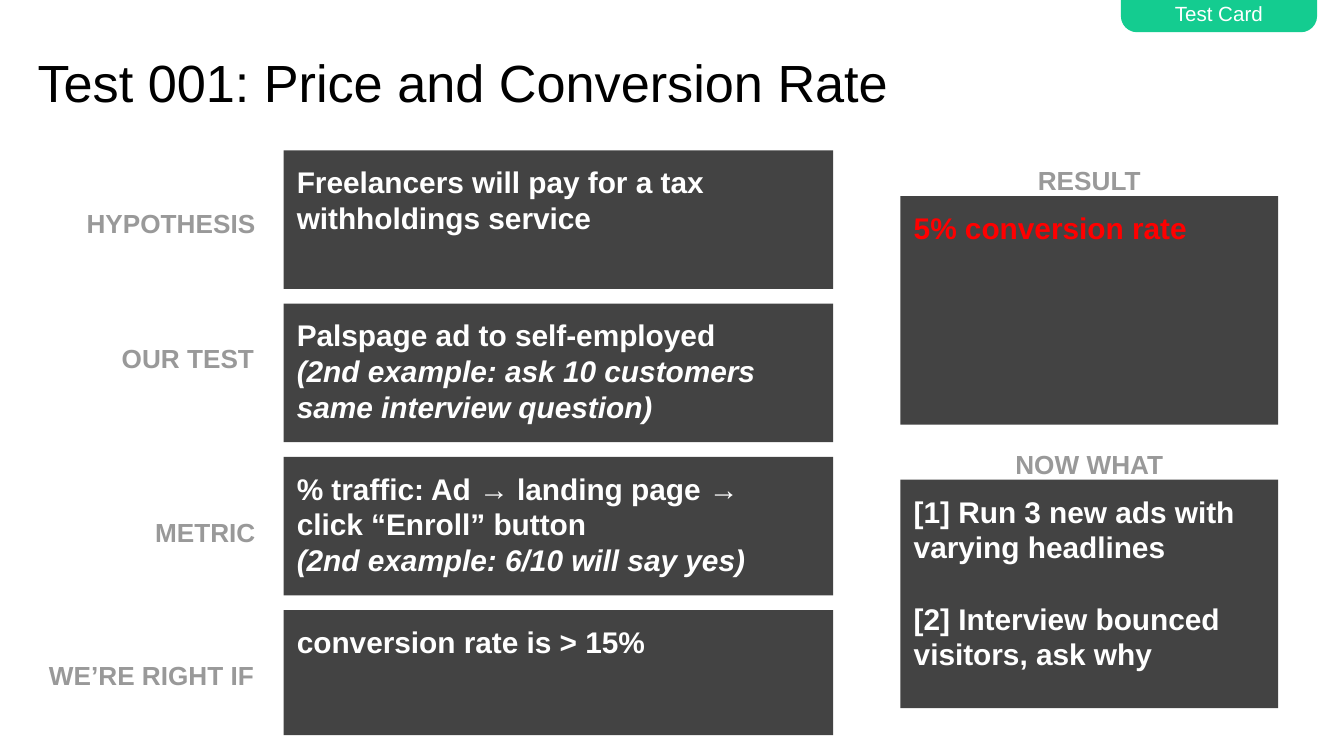
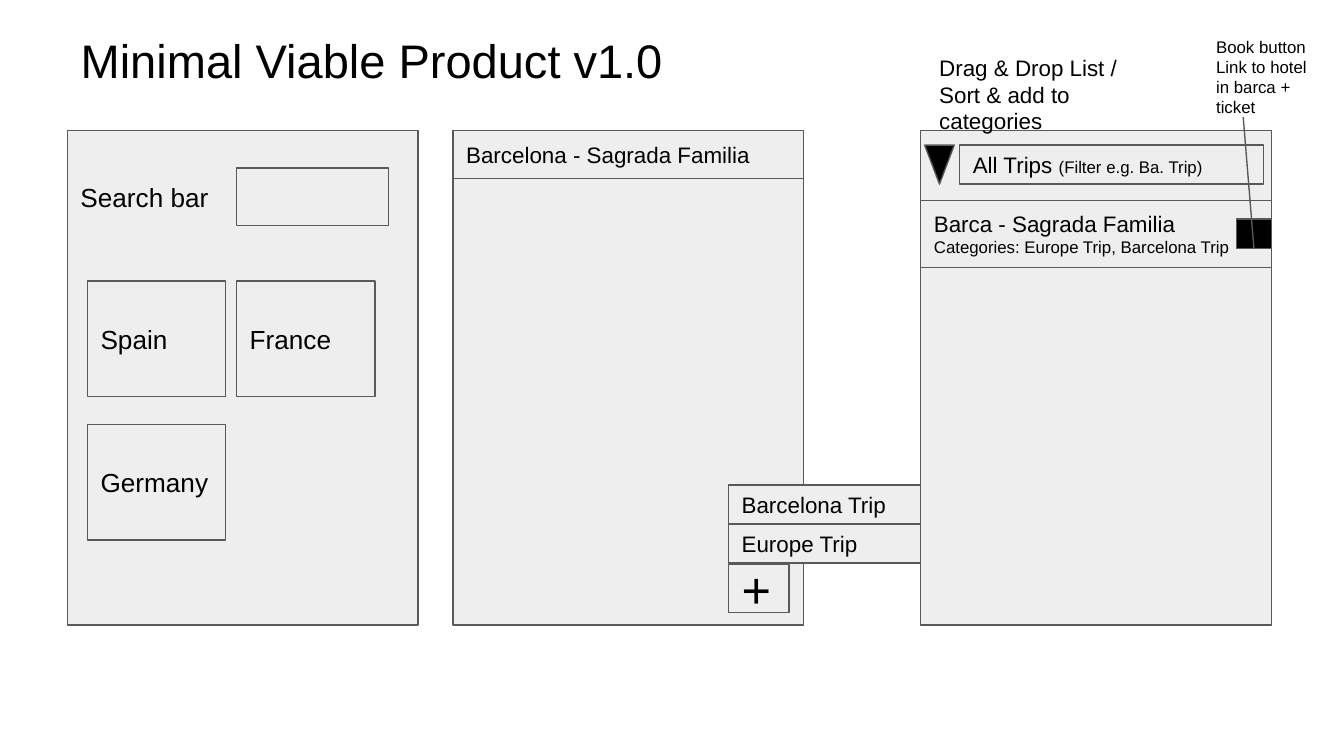
from dataclasses import dataclass

from lxml import etree
from pptx import Presentation, util as u
from pptx.dml.color import RGBColor
from pptx.enum import shapes, text
from pptx.oxml.ns import qn

BLACK = RGBColor(0x00, 0x00, 0x00)
WHITE = RGBColor(0xFF, 0xFF, 0xFF)
RED = RGBColor(0xFF, 0x00, 0x00)
GREEN = RGBColor(0x14, 0xCC, 0x90)
CHARCOAL = RGBColor(0x43, 0x43, 0x43)
LABEL_GREY = RGBColor(0x99, 0x99, 0x99)
WIRE_FILL = RGBColor(0xEE, 0xEE, 0xEE)
WIRE_LINE = RGBColor(0x59, 0x59, 0x59)

FONT = "Arial"
LEFT, CENTER, RIGHT = text.PP_ALIGN.LEFT, text.PP_ALIGN.CENTER, text.PP_ALIGN.RIGHT
TOP, MIDDLE = text.MSO_ANCHOR.TOP, text.MSO_ANCHOR.MIDDLE
RECTANGLE = shapes.MSO_SHAPE.RECTANGLE

LABEL = {"size": u.Pt(14), "bold": True}
CARD = {"size": u.Pt(16), "bold": True}
CARD_ITALIC = {**CARD, "italic": True}
BODY = {"size": u.Pt(14)}
SMALL = {"size": u.Pt(12)}
TINY = {"size": u.Pt(9)}


@dataclass
class Box:
    """A rectangle in inches."""
    left: float
    top: float
    width: float
    height: float

    def inside(self, left, top, width, height):
        """Return a box offset from this one's top left corner."""
        return Box(self.left + left, self.top + top, width, height)

    def lengths(self):
        """Return left, top, width and height as lengths."""
        return [u.Inches(value) for value in (self.left, self.top, self.width, self.height)]


def set_attributes(target, values):
    """Set each named attribute on the target."""
    for name, value in values.items():
        setattr(target, name, value)


def write(shape, paragraphs, color=BLACK, anchor=TOP, inset=0.1, **layout):
    """Fill a shape with paragraphs, each a list of (text, font format) runs."""
    frame = shape.text_frame
    set_attributes(frame, {
        "word_wrap": True, "auto_size": text.MSO_AUTO_SIZE.NONE, "vertical_anchor": anchor,
        "margin_left": u.Inches(0.1), "margin_right": u.Inches(0.1),
        "margin_top": u.Inches(inset), "margin_bottom": u.Inches(inset)})
    for index, runs in enumerate(paragraphs):
        paragraph = frame.add_paragraph() if index else frame.paragraphs[0]
        set_attributes(paragraph, {"alignment": LEFT, **layout})
        for words, style in runs:
            run = paragraph.add_run()
            run.text = words
            set_attributes(run.font, {"name": FONT, **style})
            run.font.color.rgb = color


def add_block(slide, box, fill, line=None, kind=RECTANGLE):
    """Add a flat preset shape with an optional thin outline."""
    shape = slide.shapes.add_shape(kind, *box.lengths())
    shape.shadow.inherit = False
    shape.fill.solid()
    shape.fill.fore_color.rgb = fill
    if line is None:
        shape.line.fill.background()
    else:
        shape.line.color.rgb = line
        shape.line.width = u.Pt(0.75)
    return shape


def add_text(slide, box, paragraphs, **options):
    """Add a text box."""
    write(slide.shapes.add_textbox(*box.lengths()), paragraphs, **options)


def add_wire(slide, box, paragraphs=()):
    """Add a light wireframe rectangle with optional text."""
    shape = add_block(slide, box, WIRE_FILL, WIRE_LINE)
    if paragraphs:
        write(shape, paragraphs, anchor=MIDDLE)


def add_titled_slide(presentation, title, box, size):
    """Add a title-only slide and format its title."""
    slide = presentation.slides.add_slide(presentation.slide_layouts[5])
    placeholder = slide.shapes.title
    set_attributes(placeholder, dict(zip(("left", "top", "width", "height"), box.lengths())))
    write(placeholder, [[(title, {"size": u.Pt(size)})]], anchor=MIDDLE, inset=0.05)
    return slide


def add_tab(slide, box, words):
    """Add the green tab hanging from the slide's top edge."""
    tab = add_block(slide, box, GREEN, kind=shapes.MSO_SHAPE.ROUND_2_SAME_RECTANGLE)
    tab.adjustments[0], tab.adjustments[1] = 0, 0.5
    write(tab, [[(words, {"size": u.Pt(11)})]], WHITE, MIDDLE, alignment=CENTER)


def add_label(slide, box, words, alignment):
    """Add a grey heading for a card."""
    add_text(slide, box, [[(words, LABEL)]], color=LABEL_GREY,
             alignment=alignment, line_spacing=1.15)


def add_plan(slide, box):
    """Add the labelled cards that describe the test."""
    rows = [
        ("HYPOTHESIS", Box(0.2, 0.29, 1.7, 0.46), 1.03,
         [[("Freelancers will pay for a tax withholdings service", CARD)]]),
        ("OUR TEST", Box(0.16, 0.15, 1.73, 0.75), 1.03,
         [[("Palspage ad to self-employed", CARD)],
          [("(2nd example: ask 10 customers same interview question)", CARD_ITALIC)]]),
        ("METRIC", Box(0.2, 0.31, 1.7, 0.46), 1.03,
         [[("% traffic: Ad → landing page →  click “Enroll” button", CARD)],
          [("(2nd example: 6/10 will say yes)", CARD_ITALIC)]]),
        ("WE’RE RIGHT IF", Box(0, 0.23, 1.89, 0.46), 0.93,
         [[("conversion rate is > 15%", CARD)]]),
    ]
    for index, (label, place, height, paragraphs) in enumerate(rows):
        top = index * 1.14
        label_box = box.inside(place.left, top + place.top, place.width, place.height)
        add_label(slide, label_box, label, RIGHT)
        card = add_block(slide, box.inside(2.01, top, 4.09, height), CHARCOAL)
        write(card, paragraphs, WHITE)


def add_outcome(slide, box, label, paragraphs, color, **layout):
    """Add a card with its heading centred above it."""
    add_label(slide, box.inside(0.54, -0.37, 1.73, 0.46), label, CENTER)
    write(add_block(slide, box, CHARCOAL), paragraphs, color, **layout)


def build_test_card(presentation):
    """Build the test card slide."""
    slide = add_titled_slide(presentation, "Test 001: Price and Conversion Rate",
                             Box(0.18, 0.14, 9.16, 0.94), 28)
    add_plan(slide, Box(0.1, 1.12, 6.1, 4.35))
    add_tab(slide, Box(8.34, 0, 1.46, 0.24), "Test Card")
    add_outcome(slide, Box(6.7, 1.46, 2.81, 1.7), "RESULT",
                [[("5% conversion rate", CARD)]], RED)
    add_outcome(slide, Box(6.7, 3.57, 2.81, 1.7), "NOW WHAT",
                [[("[1] Run 3 new ads with varying headlines", CARD)],
                 [("[2] Interview bounced visitors, ask why", CARD)]],
                WHITE, space_after=u.Pt(19))


def add_search_screen(slide, box):
    """Add the screen with a search bar and country tiles."""
    add_wire(slide, box)
    add_text(slide, box.inside(0, 0.28, 1.18, 0.44), [[("Search bar", BODY)]])
    add_wire(slide, box.inside(1.26, 0.28, 1.13, 0.43))
    for index, country in enumerate(("Spain", "France", "Germany")):
        row, column = divmod(index, 2)
        tile = box.inside(0.15 + column * 1.11, 1.12 + row * 1.07, 1.03, 0.86)
        add_wire(slide, tile, [[(country, BODY)]])


def add_place_screen(slide, box):
    """Add the screen of one place with its add-to-trip menu."""
    add_wire(slide, box)
    add_wire(slide, box.inside(0, 0, box.width, 0.36),
             [[("Barcelona - Sagrada Familia", SMALL)]])
    add_wire(slide, box.inside(2.05, 3.23, 0.45, 0.36), [[("+", {"size": u.Pt(27)})]])
    for index, trip in enumerate(("Barcelona Trip", "Europe Trip")):
        add_wire(slide, box.inside(2.05, 2.64 + index * 0.29, 1.43, 0.29), [[(trip, SMALL)]])


def add_trips_screen(slide, box):
    """Add the screen listing saved trips with its annotations."""
    add_wire(slide, box)
    add_text(slide, box.inside(0.04, -0.67, 1.76, 0.81),
             [[("Drag & Drop List / Sort & add to categories", SMALL)]])
    add_wire(slide, box.inside(0, 0.52, box.width, 0.5),
             [[("Barca - Sagrada Familia", SMALL)],
              [("Categories: Europe Trip, Barcelona Trip", TINY)]])
    add_wire(slide, box.inside(0.29, 0.11, 2.26, 0.29),
             [[("All Trips ", SMALL), ("(Filter e.g. Ba. Trip)", TINY)]])
    arrow = add_block(slide, box.inside(0.03, 0.11, 0.22, 0.29), BLACK, WIRE_LINE,
                      shapes.MSO_SHAPE.ISOSCELES_TRIANGLE)
    arrow.rotation = 180
    book_button = box.inside(2.35, 0.66, 0.26, 0.22)
    add_block(slide, book_button, BLACK, WIRE_LINE)
    add_pointer(slide, book_button.inside(0.13, 0.22, -0.08, -0.98))
    add_text(slide, box.inside(2.1, -0.8, 0.89, 0.81),
             [[("Book button Link to hotel in barca + ticket", TINY)]])


def add_pointer(slide, box):
    """Add a thin line from the box's first corner to the opposite one."""
    ends = (box.left, box.top, box.left + box.width, box.top + box.height)
    pointer = slide.shapes.add_connector(shapes.MSO_CONNECTOR.STRAIGHT,
                                         *[u.Inches(end) for end in ends])
    pointer.line.color.rgb = WIRE_LINE
    pointer.line.width = u.Pt(0.75)
    etree.SubElement(pointer._element.spPr, qn("a:effectLst"))


def build_product(presentation):
    """Build the wireframe slide."""
    slide = add_titled_slide(presentation, "Minimal Viable Product v1.0",
                             Box(0.5, 0.23, 7.8, 0.43), 25.2)
    screens = ((add_search_screen, 0.5), (add_place_screen, 3.37), (add_trips_screen, 6.85))
    for add_screen, left in screens:
        add_screen(slide, Box(left, 0.97, 2.61, 3.68))


def main():
    """Build and save the presentation."""
    presentation = Presentation()
    presentation.slide_width = u.Inches(10)
    presentation.slide_height = u.Inches(10 * 9 / 16)
    build_test_card(presentation)
    build_product(presentation)
    presentation.save("out.pptx")


if __name__ == "__main__":
    main()
